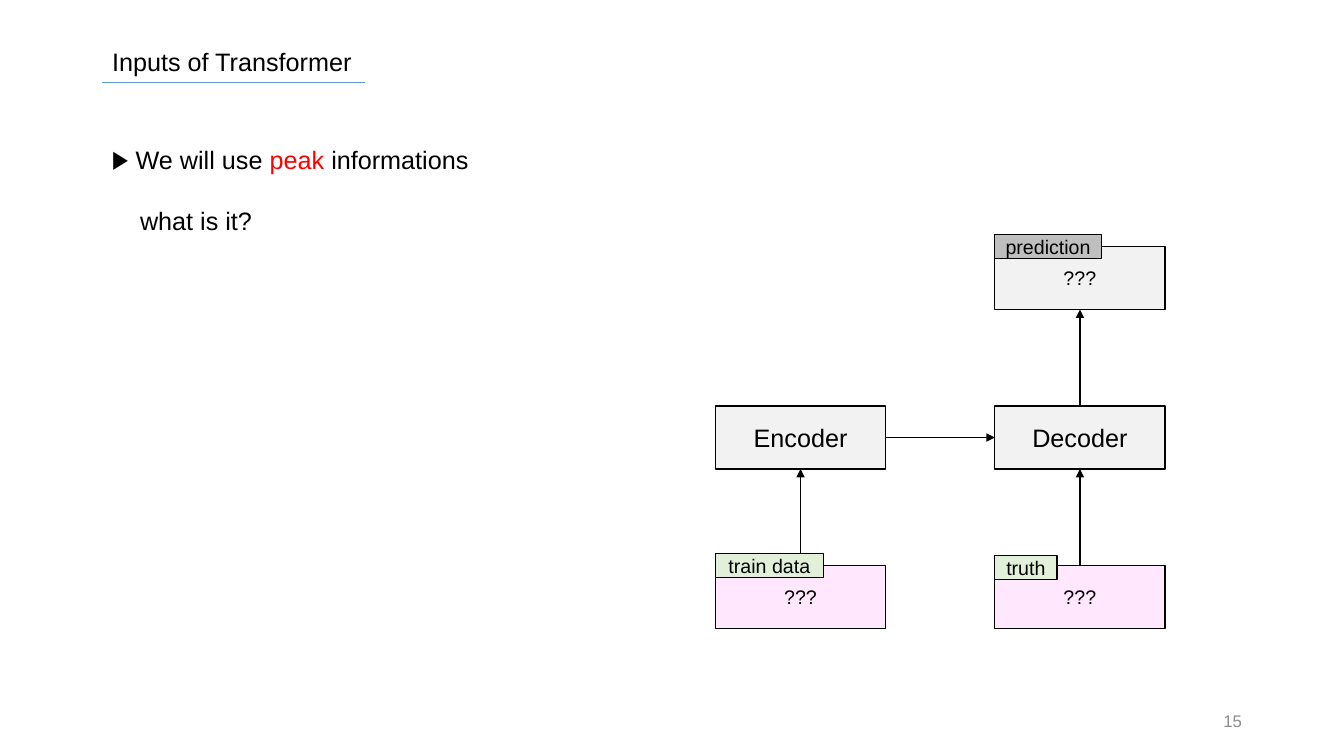
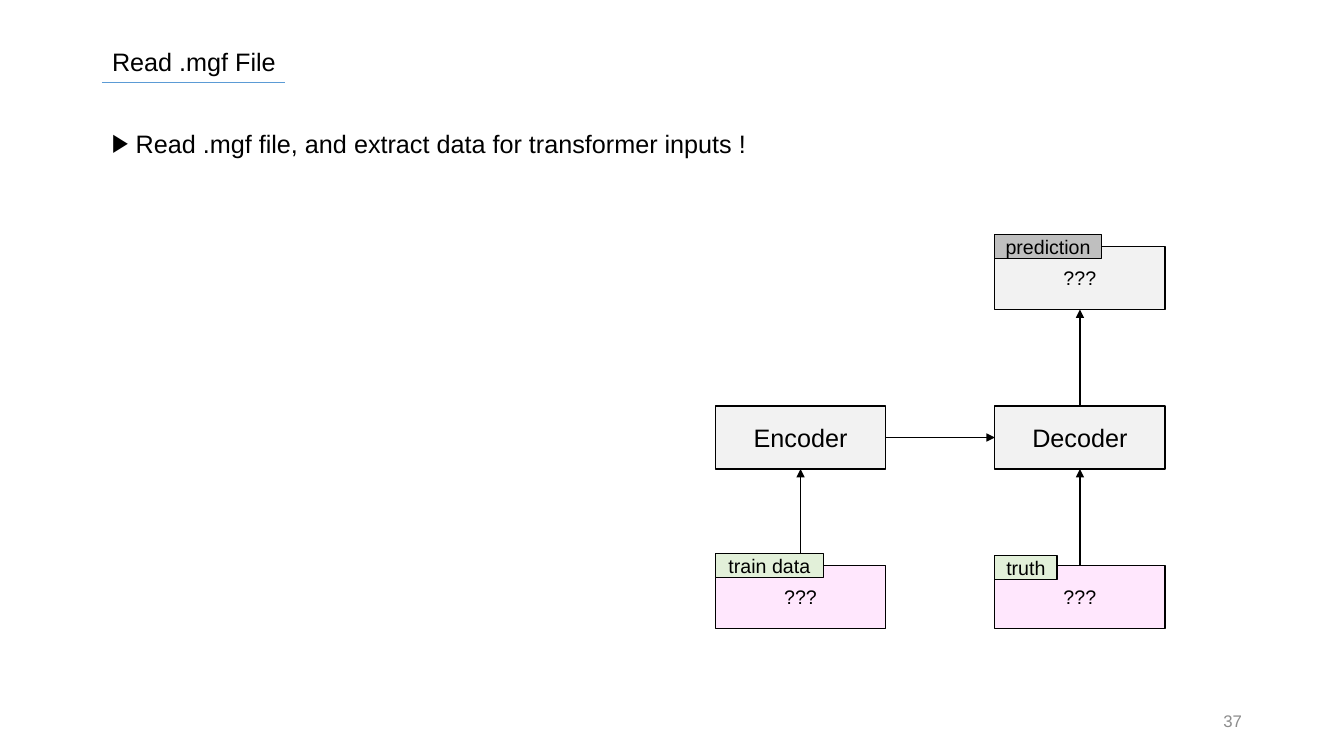
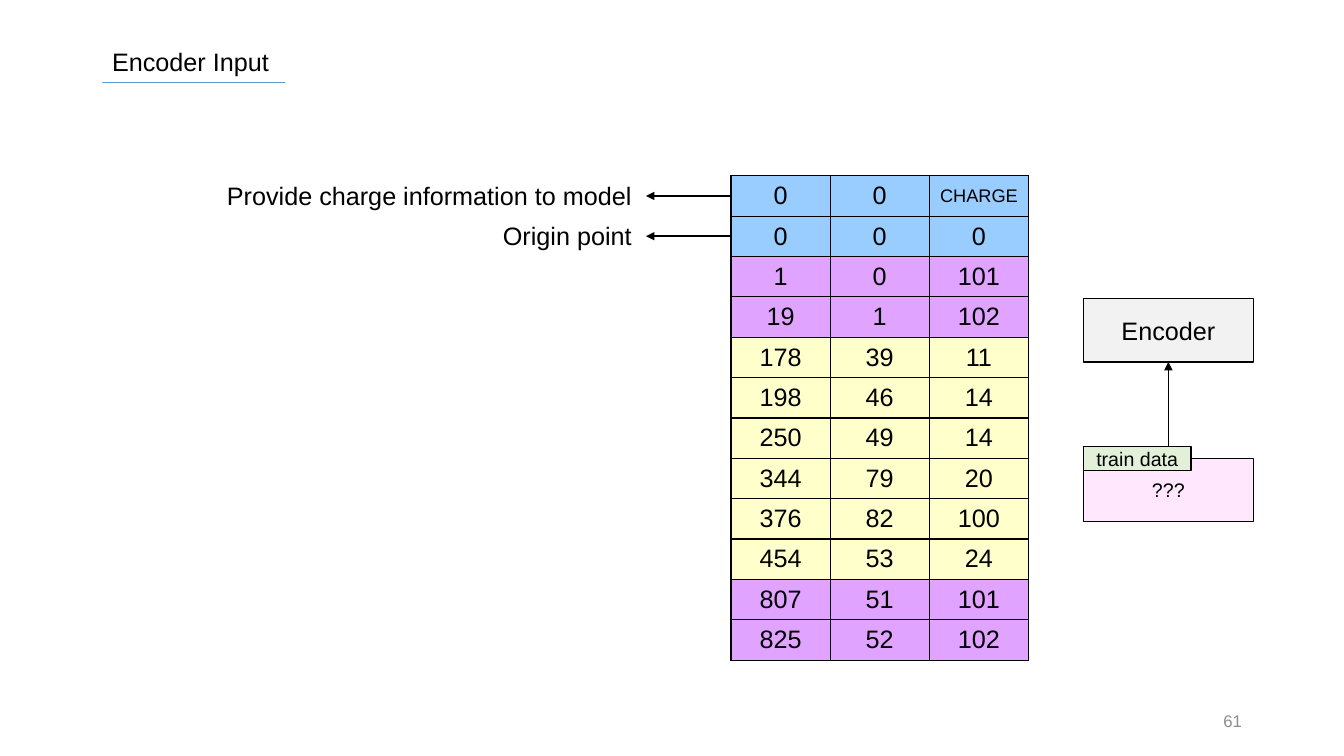
import pptx
import pptx.util
import pptx.dml.color
import pptx.enum.shapes
import pptx.enum.text
import pptx.oxml.ns
from lxml import etree

Cm, Pt = pptx.util.Cm, pptx.util.Pt
ALIGN, ANCHOR = pptx.enum.text.PP_ALIGN, pptx.enum.text.MSO_ANCHOR
qn = pptx.oxml.ns.qn

# Shared style
FONT, BLACK, RED, GREY = "Arial", "000000", "FF0000", "BFBFBF"
RULE, NUMBER, PINK, GREEN = "5B9BD5", "8C8C8C", "FFE7FD", "E2F0D9"
BLUE, PURPLE, YELLOW = "99CCFF", "E0A3FF", "FFFFCC"
MARGIN = 2.57
BOX_W, BOX_H, TAG_H = 4.29, 1.59, 0.61
COL_STEP, ROW_STEP = 7.04, 4.02
LABEL_W, LABEL_GAP, ARROW_LEN = 10.7, 2.25, 2.14
TOP, LEFT, BOTTOM, RIGHT = range(4)  # connection sites of a rectangle

# Content: title, end of the rule under it, page number
HEADS = [("Inputs of Transformer", 9.19, "15"),
         ("Read .mgf File", 7.19, "37"),
         ("Encoder Input", 7.19, "61")]

# Bullet paragraphs: (has bullet, runs)
PEAKS = [(True, [("We will use ", BLACK), ("peak ", RED), ("informations", BLACK)]),
         (False, [("what is it?", BLACK)])]
READ = [(True, [("Read .mgf file, and extract data for transformer inputs !", BLACK)])]

# Diagram boxes: name -> column, row, text, size, fill, opacity %
BOXES = {
    "encoder": (0, 0, "Encoder", 18, GREY, 20),
    "train": (0, 1, "???", 14, PINK, 100),
    "decoder": (1, 0, "Decoder", 18, GREY, 20),
    "truth": (1, 1, "???", 14, PINK, 100),
    "prediction": (1, -1, "???", 14, GREY, 20),
}
# Tags: box -> text, width, rise above the box, fill
TAGS = {
    "train": ("train data", 2.72, 0.3, GREEN),
    "truth": ("truth", 1.57, 0.25, GREEN),
    "prediction": ("prediction", 2.69, 0.3, GREY),
}
ARROWS = [("encoder", RIGHT, "decoder", LEFT), ("train", TOP, "encoder", BOTTOM),
          ("truth", TOP, "decoder", BOTTOM), ("decoder", TOP, "prediction", BOTTOM)]

ROWS = [
    (BLUE, "0", "0", "CHARGE"), (BLUE, "0", "0", "0"),
    (PURPLE, "1", "0", "101"), (PURPLE, "19", "1", "102"),
    (YELLOW, "178", "39", "11"), (YELLOW, "198", "46", "14"),
    (YELLOW, "250", "49", "14"), (YELLOW, "344", "79", "20"),
    (YELLOW, "376", "82", "100"), (YELLOW, "454", "53", "24"),
    (PURPLE, "807", "51", "101"), (PURPLE, "825", "52", "102"),
]
# Labels of the first table rows
ROW_LABELS = ["Provide charge information to model", "Origin point"]


def rgb(color):
    return pptx.dml.color.RGBColor.from_string(color)


def add_run(p, text, size=18, color=BLACK):
    r = p.add_run()
    r.text = text
    r.font.name, r.font.size = FONT, Pt(size)
    r.font.color.rgb = rgb(color)


def textbox(s, x, y, w, h, anchor=ANCHOR.TOP):
    tf = s.shapes.add_textbox(Cm(x), Cm(y), Cm(w), Cm(h)).text_frame
    tf.word_wrap, tf.vertical_anchor = True, anchor
    return tf


def right_text(s, text, x, y, w, size, color):
    p = textbox(s, x, y, w, 1.02, ANCHOR.MIDDLE).paragraphs[0]
    p.alignment = ALIGN.RIGHT
    add_run(p, text, size, color)


def line(s, x1, y1, x2, y2, color=BLACK, width=1, arrow=True):
    c = s.shapes.add_connector(pptx.enum.shapes.MSO_CONNECTOR.STRAIGHT,
                               Cm(x1), Cm(y1), Cm(x2), Cm(y2))
    c.line.color.rgb, c.line.width = rgb(color), Pt(width)
    if arrow:
        etree.SubElement(c.line._get_or_add_ln(), qn("a:tailEnd"), type="triangle")
    etree.SubElement(c._element.spPr, qn("a:effectLst"))
    return c


def rect(s, x, y, w, h, text, size, fill, opacity=100):
    sp = s.shapes.add_shape(pptx.enum.shapes.MSO_SHAPE.RECTANGLE,
                            Cm(x), Cm(y), Cm(w), Cm(h))
    sp.shadow.inherit = False
    sp.fill.solid()
    sp.fill.fore_color.rgb = rgb(fill)
    if opacity < 100:
        color = sp._element.spPr.find(qn("a:solidFill"))[0]
        etree.SubElement(color, qn("a:alpha"), val=str(opacity * 1000))
    sp.line.color.rgb, sp.line.width = rgb(BLACK), Pt(1)
    tf = sp.text_frame
    tf.margin_left = tf.margin_right = tf.margin_top = tf.margin_bottom = 0
    tf.word_wrap, tf.vertical_anchor = False, ANCHOR.MIDDLE
    p = tf.paragraphs[0]
    p.alignment = ALIGN.CENTER
    add_run(p, text, size)
    return sp


def new_slide(prs, title, rule_end, number):
    s = prs.slides.add_slide(prs.slide_layouts[5])
    sp = s.shapes.title
    sp.left, sp.top, sp.width, sp.height = Cm(MARGIN), Cm(1.04), Cm(14.45), Cm(1.02)
    tf = sp.text_frame
    tf.auto_size, tf.vertical_anchor = pptx.enum.text.MSO_AUTO_SIZE.NONE, ANCHOR.TOP
    p = tf.paragraphs[0]
    p.alignment = ALIGN.LEFT
    add_run(p, title)
    line(s, MARGIN, 2.08, rule_end, 2.08, RULE, 0.5, arrow=False)
    right_text(s, number, 23.93, 17.65, 7.62, 12, NUMBER)
    return s


def bullets(s, paragraphs, y, w, h):
    tf = textbox(s, MARGIN, y, w, h)
    for i, (has_bullet, runs) in enumerate(paragraphs):
        p = tf.add_paragraph() if i else tf.paragraphs[0]
        pPr = p._p.get_or_add_pPr()
        if has_bullet:
            pPr.set("marL", str(Cm(0.6)))
            pPr.set("indent", str(-Cm(0.6)))
            etree.SubElement(pPr, qn("a:buFont"), typeface=FONT)
            etree.SubElement(pPr, qn("a:buChar"), char="▶")
        else:
            pPr.set("marL", str(Cm(0.71)))
        if i:
            p.space_before = Pt(22)
        for text, color in runs:
            add_run(p, text, 18, color)


def diagram(s, x0, y0, names):
    """Boxes, arrows between them and tags; the encoder sits at x0, y0."""
    placed = {}
    for name in names:
        col, row, *look = BOXES[name]
        placed[name] = rect(s, x0 + col * COL_STEP, y0 + row * ROW_STEP,
                            BOX_W, BOX_H, *look)
    for start, start_site, end, end_site in ARROWS:
        if start in placed and end in placed:
            c = line(s, 0, 0, 0, 0)
            c.begin_connect(placed[start], start_site)
            c.end_connect(placed[end], end_site)
    for name, (text, w, rise, fill) in TAGS.items():
        if name in placed:
            sp = placed[name]
            rect(s, sp.left.cm, sp.top.cm - rise, w, TAG_H, text, 14, fill)


def cell_borders(cell):
    tcPr = cell._tc.get_or_add_tcPr()
    for i, side in enumerate(("a:lnL", "a:lnR", "a:lnT", "a:lnB")):
        ln = etree.Element(qn(side), w=str(Pt(1)))
        fill = etree.SubElement(ln, qn("a:solidFill"))
        etree.SubElement(fill, qn("a:srgbClr"), val=BLACK)
        tcPr.insert(i, ln)


def peak_table(s, x, y, col_w, row_h):
    cols = len(ROWS[0]) - 1
    table = s.shapes.add_table(len(ROWS), cols, Cm(x), Cm(y), Cm(cols * col_w),
                               Cm(len(ROWS) * row_h)).table
    table.first_row = table.horz_banding = False
    for col in table.columns:
        col.width = Cm(col_w)
    for i, (fill, *values) in enumerate(ROWS):
        table.rows[i].height = Cm(row_h)
        for j, value in enumerate(values):
            cell = table.cell(i, j)
            cell.fill.solid()
            cell.fill.fore_color.rgb = rgb(fill)
            cell.margin_left = cell.margin_right = 0
            cell.vertical_anchor = ANCHOR.MIDDLE
            p = cell.text_frame.paragraphs[0]
            p.alignment = ALIGN.CENTER
            add_run(p, value, 18 if value.isdigit() else 13)
            cell_borders(cell)
    # Arrows and labels left of the first rows
    for i, label in enumerate(ROW_LABELS):
        mid = y + (i + 0.5) * row_h
        line(s, x, mid, x - ARROW_LEN, mid, width=1.5)
        right_text(s, label, x - LABEL_GAP - LABEL_W, mid - 0.52, LABEL_W, 18, BLACK)


def main():
    prs = pptx.Presentation()
    prs.slide_width, prs.slide_height = Cm(33.87), Cm(19.05)
    inputs, reading, encoder = [new_slide(prs, *head) for head in HEADS]

    bullets(inputs, PEAKS, 3.51, 14.8, 2.57)
    bullets(reading, READ, 3.1, 29, 1.02)
    for s in (inputs, reading):
        diagram(s, 18.03, 10.23, BOXES)

    diagram(encoder, 27.3, 7.53, ["encoder", "train"])
    peak_table(encoder, 18.42, 4.43, 2.5, 12.19 / len(ROWS))
    prs.save("out.pptx")


if __name__ == "__main__":
    main()
